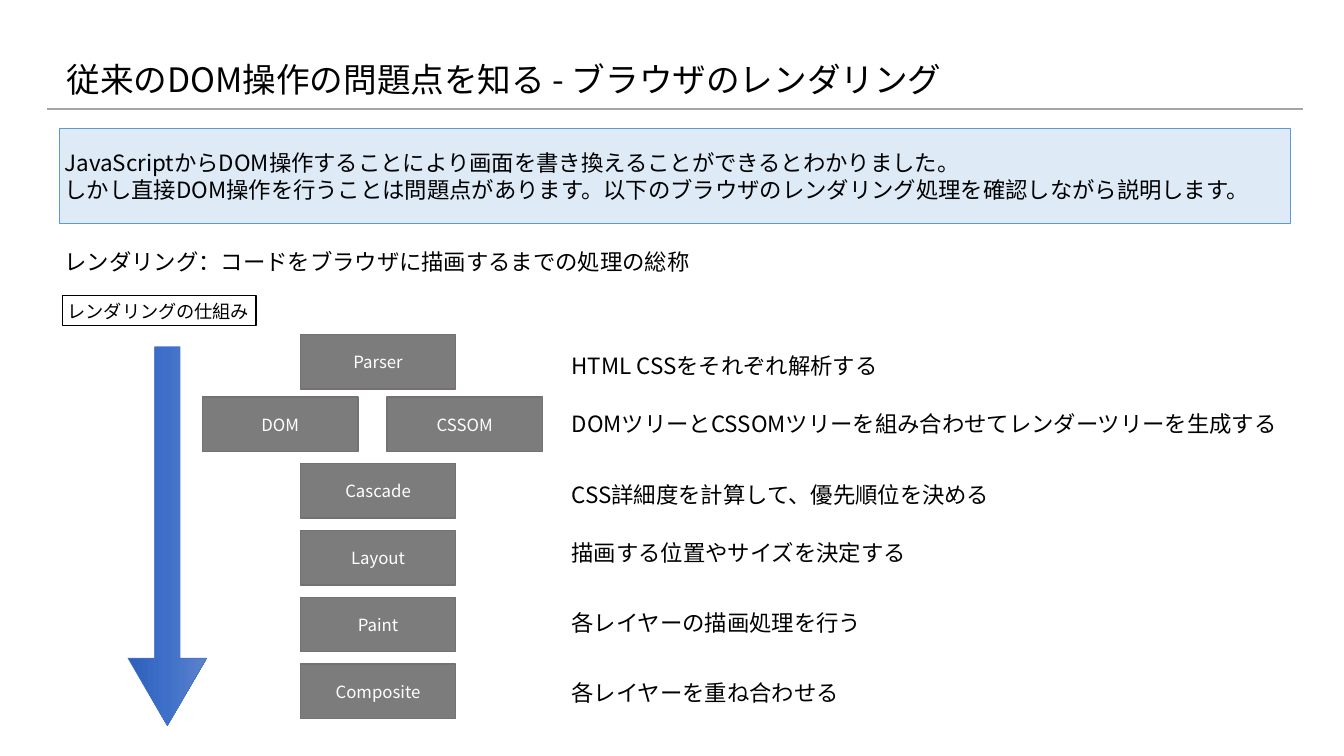
"""Build the slide on browser rendering and the problems of direct DOM operations."""
from copy import deepcopy

from pptx import Presentation
from pptx.dml.color import RGBColor
from pptx.enum.shapes import MSO_CONNECTOR, MSO_SHAPE
from pptx.enum.text import MSO_ANCHOR, MSO_AUTO_SIZE, PP_ALIGN
from pptx.oxml.ns import qn
from pptx.util import Inches, Pt

FONT = "Noto Sans CJK JP"
BLACK = RGBColor(0x00, 0x00, 0x00)
WHITE = RGBColor(0xFF, 0xFF, 0xFF)
RULE_GRAY = RGBColor(0xA5, 0xA5, 0xA5)
PALE_BLUE = RGBColor(0xDE, 0xEB, 0xF7)
BAND_BLUE = RGBColor(0x5B, 0x9B, 0xD5)
STEP_GRAY = RGBColor(0x7C, 0x7C, 0x7C)
STEP_EDGE = RGBColor(0x76, 0x71, 0x71)
ARROW_EDGE = RGBColor(0x44, 0x72, 0xC4)
ARROW_DARK = RGBColor(0x2F, 0x61, 0xBA)
ARROW_MIDDLE = RGBColor(0x3E, 0x70, 0xCA)
ARROW_LIGHT = RGBColor(0x5F, 0x82, 0xCB)


def write(shape, text, size=16, color=BLACK, align=PP_ALIGN.LEFT, anchor=MSO_ANCHOR.TOP,
          wrap=False, fit=MSO_AUTO_SIZE.SHAPE_TO_FIT_TEXT, spacing=1.0):
    frame = shape.text_frame
    frame.text = text
    frame.word_wrap = wrap
    frame.auto_size = fit
    frame.vertical_anchor = anchor
    frame.margin_left = frame.margin_right = Inches(0.05)
    frame.margin_top = frame.margin_bottom = Inches(0.05)
    for para in frame.paragraphs:
        para.alignment = align
        para.line_spacing = spacing
        for span in para.runs:
            span.font.size = Pt(size)
            span.font.name = FONT
            span.font.color.rgb = color
            east_asian = span.font._element.makeelement(qn("a:ea"), {"typeface": FONT})
            span.font._element.find(qn("a:latin")).addnext(east_asian)


def add_box(page, left, top, width, height, fill, edge, edge_width=1.0):
    box = page.shapes.add_shape(MSO_SHAPE.RECTANGLE, Inches(left), Inches(top),
                                Inches(width), Inches(height))
    box.shadow.inherit = False
    box.fill.solid()
    box.fill.fore_color.rgb = fill
    box.line.color.rgb = edge
    box.line.width = Pt(edge_width)
    return box


deck = Presentation()
deck.slide_width = Inches(13.33)
deck.slide_height = Inches(7.5)
page = deck.slides.add_slide(deck.slide_layouts[5])

rule = page.shapes.add_connector(MSO_CONNECTOR.STRAIGHT, Inches(0.47), Inches(1.08),
                                 Inches(12.92), Inches(1.08))
rule.line.color.rgb = RULE_GRAY
rule.line.width = Pt(1.5)
rule_properties = rule._element.spPr
rule_properties.append(rule_properties.makeelement(qn("a:effectLst"), {}))

title = page.shapes.title
title.left, title.top = Inches(0.61), Inches(0.31)
title.width, title.height = Inches(10.7), Inches(1)
write(title, "従来のDOM操作の問題点を知る - ブラウザのレンダリング", size=24,
      anchor=MSO_ANCHOR.MIDDLE, wrap=True, fit=MSO_AUTO_SIZE.NONE, spacing=0.9)

band = add_box(page, 0.59, 1.27, 12.21, 0.95, PALE_BLUE, BAND_BLUE, 0.75)
write(band, "JavaScriptからDOM操作することにより画面を書き換えることができるとわかりました。\n"
      "しかし直接DOM操作を行うことは問題点があります。以下のブラウザのレンダリング処理を確認しながら説明します。",
      anchor=MSO_ANCHOR.MIDDLE, wrap=True, fit=MSO_AUTO_SIZE.NONE)

steps = [("Parser", 2.98, 3.32), ("DOM", 2.01, 3.94), ("CSSOM", 3.84, 3.94)]
for row, name in enumerate(["Cascade", "Layout", "Paint", "Composite"]):
    steps.append((name, 2.98, 4.6 + row * 0.663))
for name, left, top in steps:
    step = add_box(page, left, top, 1.54, 0.54, STEP_GRAY, STEP_EDGE)
    write(step, name, size=12, color=WHITE, align=PP_ALIGN.CENTER,
          anchor=MSO_ANCHOR.MIDDLE, wrap=True, fit=MSO_AUTO_SIZE.NONE)

arrow = page.shapes.add_shape(MSO_SHAPE.DOWN_ARROW, Inches(1.27), Inches(3.44),
                              Inches(0.78), Inches(3.76))
arrow.shadow.inherit = False
arrow.adjustments[0] = 0.32
arrow.adjustments[1] = 0.859
arrow.line.color.rgb = ARROW_EDGE
arrow.line.width = Pt(0.5)
arrow.fill.gradient()
arrow.fill.gradient_angle = 0
stop_list = arrow._element.spPr.find(qn("a:gradFill")).find(qn("a:gsLst"))
stop_list.append(deepcopy(stop_list[-1]))
for stop, position, color in zip(arrow.fill.gradient_stops, [0, 0.5, 1],
                                 [ARROW_DARK, ARROW_MIDDLE, ARROW_LIGHT]):
    stop.position = position
    stop.color.rgb = color

label = add_box(page, 0.62, 2.93, 1.92, 0.3, WHITE, BLACK)
write(label, "レンダリングの仕組み", size=13)

notes = [
    ("レンダリング：コードをブラウザに描画するまでの処理の総称", 0.59, 2.41, 6.32),
    ("HTML CSSをそれぞれ解析する", 5.62, 3.44, 3.31),
    ("DOMツリーとCSSOMツリーを組み合わせてレンダーツリーを生成する", 5.62, 4.02, 7.27),
    ("CSS詳細度を計算して、優先順位を決める", 5.62, 4.72, 4.33),
    ("描画する位置やサイズを決定する", 5.62, 5.3, 3.44),
    ("各レイヤーの描画処理を行う", 5.62, 5.99, 3),
    ("各レイヤーを重ね合わせる", 5.62, 6.69, 2.77),
]
for text, left, top, width in notes:
    note = page.shapes.add_textbox(Inches(left), Inches(top), Inches(width), Inches(0.32))
    write(note, text)

deck.save("out.pptx")
